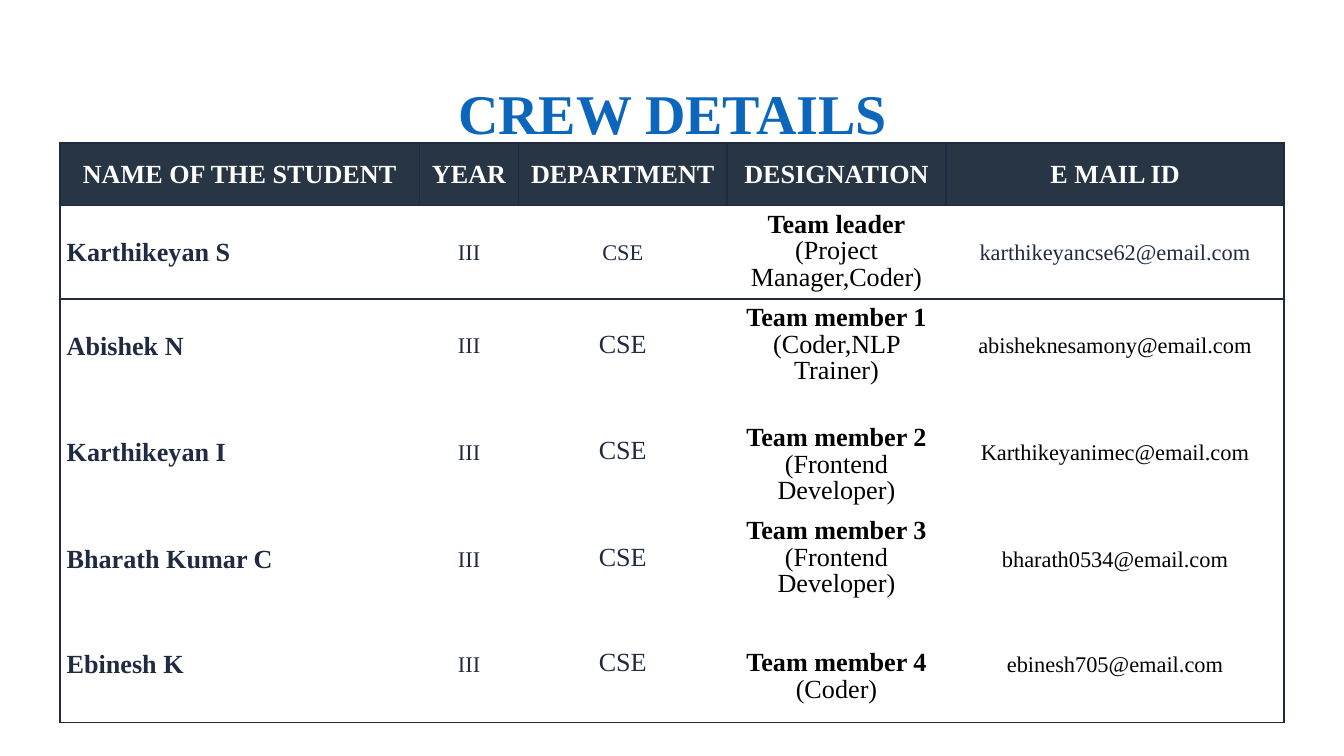
"""Build the crew details slide with its title and team table."""
from lxml import etree
from pptx import Presentation
from pptx import util as u
from pptx.dml.color import RGBColor
from pptx.enum import text
from pptx.oxml.ns import qn

FONT = "Times New Roman"
COLOURS = {"title": "0B66BC", "header": "283544", "navy": "202A41",
           "white": "FFFFFF", "black": "000000"}
NO_STYLE = "{2D5ABB26-0587-4C30-8999-92F81FD0307C}"

HEADINGS = ["NAME OF THE STUDENT", "YEAR", "DEPARTMENT", "DESIGNATION", "E MAIL ID"]
CREW = [
    ("Karthikeyan S", "III", "CSE", ("Team leader", "(Project Manager,Coder)"),
     "karthikeyancse62@email.com"),
    ("Abishek N", "III", "CSE", ("Team member 1", "(Coder,NLP Trainer)"),
     "abisheknesamony@email.com"),
    ("Karthikeyan I", "III", "CSE", ("Team member 2", "(Frontend Developer)"),
     "Karthikeyanimec@email.com"),
    ("Bharath Kumar C", "III", "CSE", ("Team member 3", "(Frontend Developer)"),
     "bharath0534@email.com"),
    ("Ebinesh K", "III", "CSE", ("Team member 4", "(Coder)"),
     "ebinesh705@email.com"),
]
COLUMN_WIDTHS = [6.8, 1.87, 3.94, 4.14, 6.39]
ROW_HEIGHTS = [1.18, 1.76, 1.76, 2.26, 1.76, 2.21]
LOWERED_ROWS = (3, 5)
MARGIN = 0.13


def format_paragraph(para, size, colour, bold=False, align=text.PP_ALIGN.CENTER):
    para.alignment = align
    font = para.font
    font.name, font.size, font.bold = FONT, u.Pt(size), bold
    font.color.rgb = RGBColor.from_string(COLOURS[colour])


def write_cell(cell, lines, spacing=14.2, align=text.PP_ALIGN.CENTER):
    cell.vertical_anchor = text.MSO_ANCHOR.MIDDLE
    cell.margin_left = cell.margin_right = u.Cm(MARGIN)
    cell.margin_top = cell.margin_bottom = u.Cm(MARGIN)
    frame = cell.text_frame
    for index, (words, size, colour, bold) in enumerate(lines):
        para = frame.add_paragraph() if index else frame.paragraphs[0]
        para.text = words
        para.line_spacing = u.Pt(spacing)
        format_paragraph(para, size, colour, bold, align)


def draw_borders(cell, sides):
    properties = cell._tc.get_or_add_tcPr()
    for index, side in enumerate(sides):
        line = etree.Element(qn(f"a:ln{side}"), w=str(u.Pt(1)))
        fill = etree.SubElement(line, qn("a:solidFill"))
        etree.SubElement(fill, qn("a:srgbClr"), val=COLOURS["navy"])
        properties.insert(index, line)


def add_title(page):
    title = page.shapes.title
    title.left, title.top = u.Cm(5.79), u.Cm(1.09)
    title.width, title.height = u.Cm(13.84), u.Cm(1.6)
    frame = title.text_frame
    frame.text = "CREW DETAILS"
    frame.word_wrap = True
    frame.auto_size = text.MSO_AUTO_SIZE.NONE
    frame.vertical_anchor = text.MSO_ANCHOR.TOP
    frame.margin_top, frame.margin_bottom = u.Cm(0.4), 0
    format_paragraph(frame.paragraphs[0], 30, "title", True)


def add_crew_table(page):
    table = page.shapes.add_table(
        len(ROW_HEIGHTS), len(COLUMN_WIDTHS), u.Cm(1.13), u.Cm(2.7),
        u.Cm(sum(COLUMN_WIDTHS)), u.Cm(sum(ROW_HEIGHTS))).table
    table._tbl.tblPr.find(qn("a:tableStyleId")).text = NO_STYLE
    for column, width in zip(table.columns, COLUMN_WIDTHS):
        column.width = u.Cm(width)
    for row, height in zip(table.rows, ROW_HEIGHTS):
        row.height = u.Cm(height)

    for column, heading in enumerate(HEADINGS):
        cell = table.cell(0, column)
        write_cell(cell, [(heading, 14, "white", True)], 16.5)
        cell.fill.solid()
        cell.fill.fore_color.rgb = RGBColor.from_string(COLOURS["header"])
        draw_borders(cell, "LRTB")

    last_row, last_column = len(CREW), len(HEADINGS) - 1
    for row, (name, year, department, (role, duty), mail) in enumerate(CREW, 1):
        cells = table.rows[row].cells
        first = row == 1
        write_cell(cells[0], [(name, 14, "navy", True)], 16.5, text.PP_ALIGN.LEFT)
        write_cell(cells[1], [(year, 12, "navy", False)])
        write_cell(cells[2], [(department, 12 if first else 14, "navy", False)])
        write_cell(cells[3], [(role, 14, "black", True), (duty, 14, "black", False)])
        write_cell(cells[4], [(mail, 12, "navy" if first else "black", False)])
        if row in LOWERED_ROWS:
            cells[3].margin_top = u.Cm(MARGIN + 0.5)
        for column, cell in enumerate(cells):
            cell.fill.background()
            edges = {"L": column == 0, "R": column == last_column,
                     "T": first, "B": row == last_row}
            draw_borders(cell, [side for side, drawn in edges.items() if drawn])


def main():
    deck = Presentation()
    deck.slide_width, deck.slide_height = u.Cm(25.4), u.Cm(14.28)
    page = deck.slides.add_slide(deck.slide_layouts[5])
    add_title(page)
    add_crew_table(page)
    deck.save("out.pptx")


if __name__ == "__main__":
    main()
